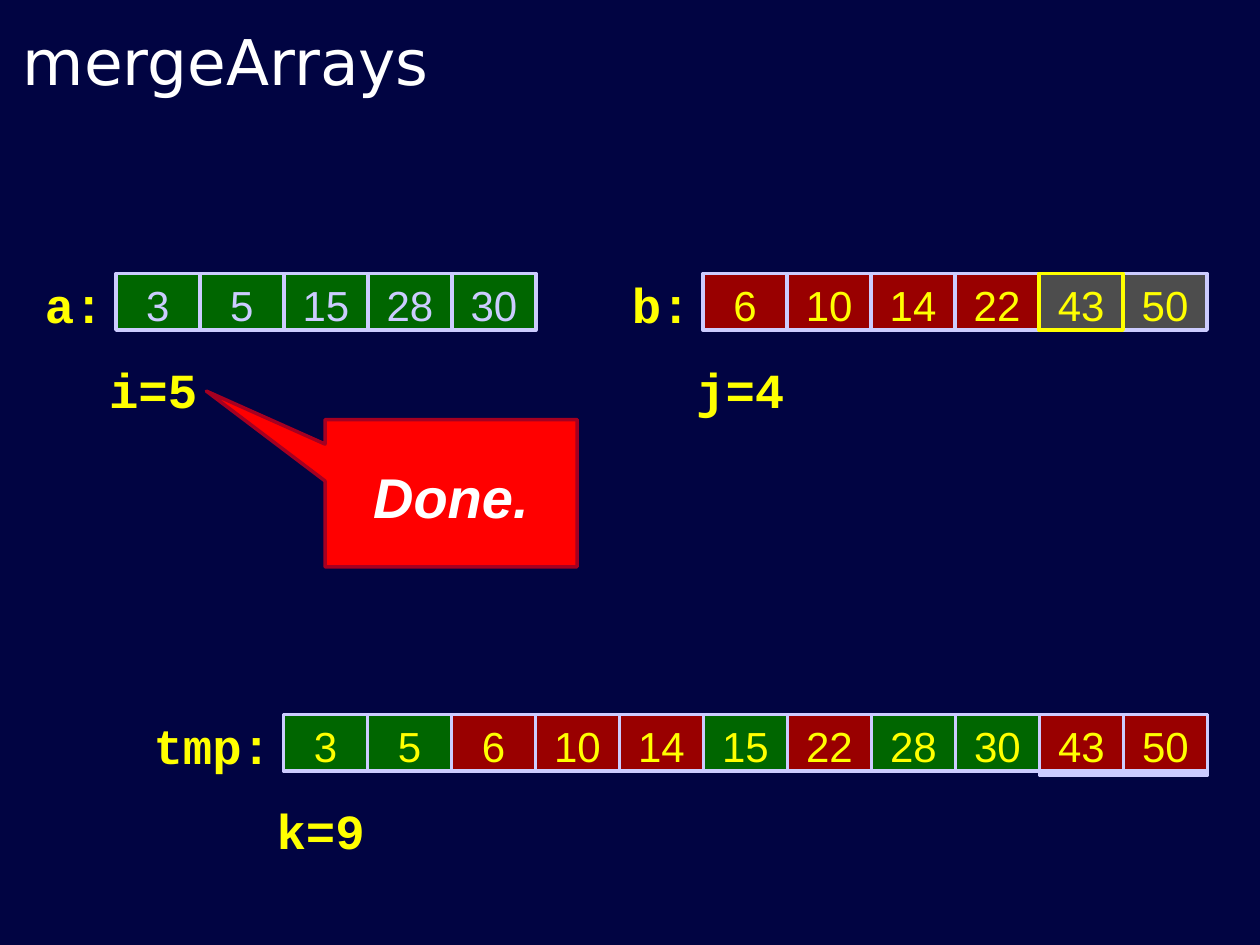
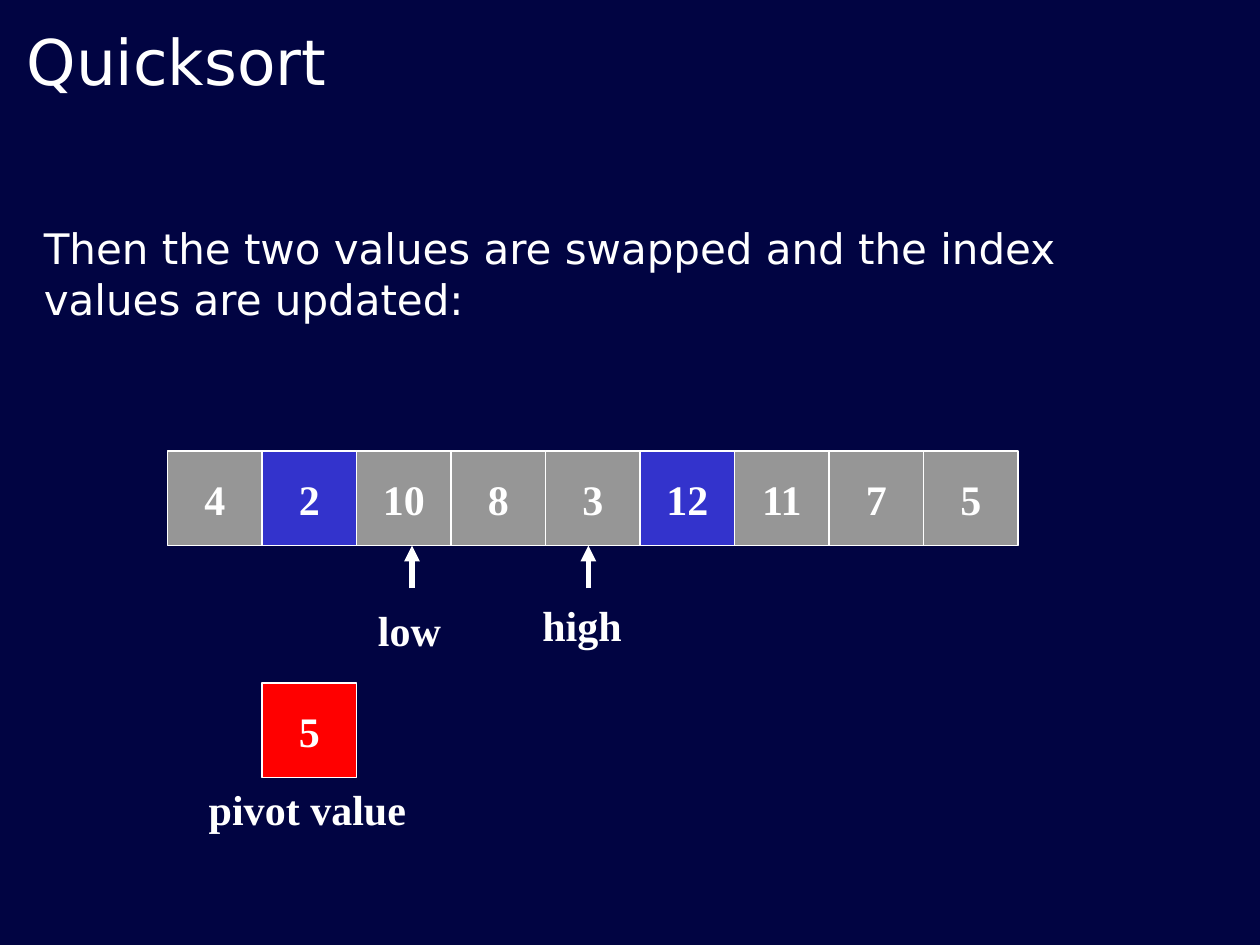
from lxml import etree
from pptx import Presentation
from pptx.dml.color import RGBColor
from pptx.enum.shapes import MSO_CONNECTOR, MSO_SHAPE
from pptx.enum.text import MSO_ANCHOR as Anchor, MSO_AUTO_SIZE as AutoSize, PP_ALIGN as Align
from pptx.oxml.ns import qn
from pptx.util import Inches, Pt

COLORS = {
    "navy": "010442", "white": "FFFFFF", "yellow": "FFFF00", "lavender": "CCCCFF",
    "green": "006600", "maroon": "990000", "charcoal": "4D4D4D", "gray": "969696",
    "blue": "3333CC", "red": "FF0000", "crimson": "A50021",
}
TITLE_ONLY = 5
MERGE_CELL = (2 / 3, 0.45)
SPARE_CELL = (2 / 3, 0.48)
SORT_CELL = (0.75, 0.75)


def rgb(name):
    return RGBColor.from_string(COLORS[name])


def write(shape, text, font, size, color="white", bold=False, italic=False,
          align=Align.CENTER, anchor=Anchor.MIDDLE, wrap=True, top=0.05, bottom=0.05):
    frame = shape.text_frame
    frame.word_wrap = wrap
    frame.auto_size = AutoSize.NONE
    frame.vertical_anchor = anchor
    frame.margin_left = frame.margin_right = Inches(0.1)
    frame.margin_top, frame.margin_bottom = Inches(top), Inches(bottom)
    para = frame.paragraphs[0]
    para.alignment = align
    span = para.add_run()
    span.text = text
    span.font.name, span.font.size = font, Pt(size)
    span.font.bold, span.font.italic = bold, italic
    span.font.color.rgb = rgb(color)


def add_block(page, box, fill, line, weight, preset=MSO_SHAPE.RECTANGLE):
    """Add an outlined shape; a fill of None leaves it hollow."""
    block = page.shapes.add_shape(preset, *map(Inches, box))
    block.shadow.inherit = False
    if fill:
        block.fill.solid()
        block.fill.fore_color.rgb = rgb(fill)
    else:
        block.fill.background()
    block.line.color.rgb = rgb(line)
    block.line.width = Pt(weight)
    return block


def add_label(shapes, box, text, font, size, **style):
    write(shapes.add_textbox(*map(Inches, box)), text, font, size, **style)


def add_page(deck, title, box):
    page = deck.slides.add_slide(deck.slide_layouts[TITLE_ONLY])
    heading = page.shapes.title
    heading.left, heading.top, heading.width, heading.height = map(Inches, box)
    write(heading, title, "DejaVu Sans", 36, align=Align.LEFT, anchor=Anchor.BOTTOM)
    return page


def row_boxes(left, top, cell, count):
    width, height = cell
    return [(left + index * width, top, width, height) for index in range(count)]


def add_code_label(page, box, text, align=Align.CENTER):
    add_label(page.shapes, box, text, "Courier New", 28, color="yellow", bold=True,
              align=align, anchor=Anchor.TOP, top=0.1)


def add_merge_array(page, left, top, name, name_width, index_text, values, fills,
                    ink="yellow", current=None):
    """Draw a named array with its index below; the current cell lies on top."""
    add_code_label(page, (left - name_width, top - 0.09, name_width, 0.57), name, Align.RIGHT)
    add_code_label(page, (left - 0.33, top + 0.58, 1.25, 0.57), index_text)
    boxes = row_boxes(left, top, MERGE_CELL, len(values))
    for index in sorted(range(len(values)), key=lambda place: place == current):
        line = "yellow" if index == current else "lavender"
        cell = add_block(page, boxes[index], fills[index], line, 2)
        write(cell, str(values[index]), "Arial", 24, color=ink, anchor=Anchor.TOP, bottom=0)


def add_callout(page, box, text):
    callout = add_block(page, box, "red", "crimson", 2, MSO_SHAPE.RECTANGULAR_CALLOUT)
    callout.adjustments[0], callout.adjustments[1] = -0.971, -0.693
    write(callout, text, "Arial", 32, bold=True, italic=True, wrap=False, bottom=0)


def add_sort_label(shapes, box, text):
    add_label(shapes, box, text, "Times New Roman", 24, bold=True, wrap=False)


def add_sort_cell(page, box, value, fill):
    cell = add_block(page, box, fill, "white", 0.75)
    write(cell, str(value), "Times New Roman", 24, bold=True, wrap=False)


def add_index_marker(page, x, row_bottom, text, label_box):
    marker = page.shapes.add_group_shape()
    arrow = marker.shapes.add_connector(
        MSO_CONNECTOR.STRAIGHT, Inches(x), Inches(row_bottom + 0.34),
        Inches(x), Inches(row_bottom))
    arrow.line.color.rgb = rgb("white")
    arrow.line.width = Pt(3)
    etree.SubElement(arrow.line._get_or_add_ln(), qn("a:tailEnd"), type="triangle")
    etree.SubElement(arrow._element.spPr, qn("a:effectLst"))
    add_sort_label(marker.shapes, label_box, text)


def build_merge_page(deck):
    page = add_page(deck, "mergeArrays", (0.08, 0.25, 8.5, 0.58))
    for box in row_boxes(8.25, 5.67, SPARE_CELL, 2):
        add_block(page, box, None, "lavender", 2)
    first = [3, 5, 15, 28, 30]
    second = [6, 10, 14, 22, 43, 50]
    merged = sorted(first + second)
    add_merge_array(page, 0.92, 2.17, "a:", 0.75, "i=5", first,
                    ["green"] * len(first), ink="lavender")
    add_merge_array(page, 5.58, 2.17, "b:", 0.75, "j=4", second,
                    ["maroon"] * 4 + ["charcoal"] * 2, current=4)
    add_merge_array(page, 2.25, 5.67, "tmp:", 2.08, "k=9", merged,
                    ["green" if value in first else "maroon" for value in merged])
    add_callout(page, (2.58, 3.33, 2, 1.17), "Done.")


def build_quicksort_page(deck):
    page = add_page(deck, "Quicksort", (0.11, 0.08, 9.06, 0.75))
    add_label(page.shapes, (0.25, 1.72, 9, 1.4),
              "Then the two values are swapped and the index values are updated:",
              "DejaVu Sans", 24, align=Align.LEFT, anchor=Anchor.TOP)
    values = [4, 2, 10, 8, 3, 12, 11, 7, 5]
    swapped = (2, 12)
    for value, box in zip(values, row_boxes(1.33, 3.58, SORT_CELL, len(values))):
        add_sort_cell(page, box, value, "blue" if value in swapped else "gray")
    add_index_marker(page, 3.27, 4.33, "low", (2.9, 4.75, 0.7, 0.5))
    add_index_marker(page, 4.67, 4.33, "high", (4.17, 4.71, 0.9, 0.5))
    add_sort_cell(page, (2.08, 5.42, *SORT_CELL), 5, "red")
    add_sort_label(page.shapes, (1.56, 6.17, 1.76, 0.5), "pivot value")


def main():
    deck = Presentation()
    deck.slide_width, deck.slide_height = Inches(10), Inches(7.5)
    backdrop = deck.slide_master.background.fill
    backdrop.solid()
    backdrop.fore_color.rgb = rgb("navy")
    build_merge_page(deck)
    build_quicksort_page(deck)
    deck.save("out.pptx")


if __name__ == "__main__":
    main()
